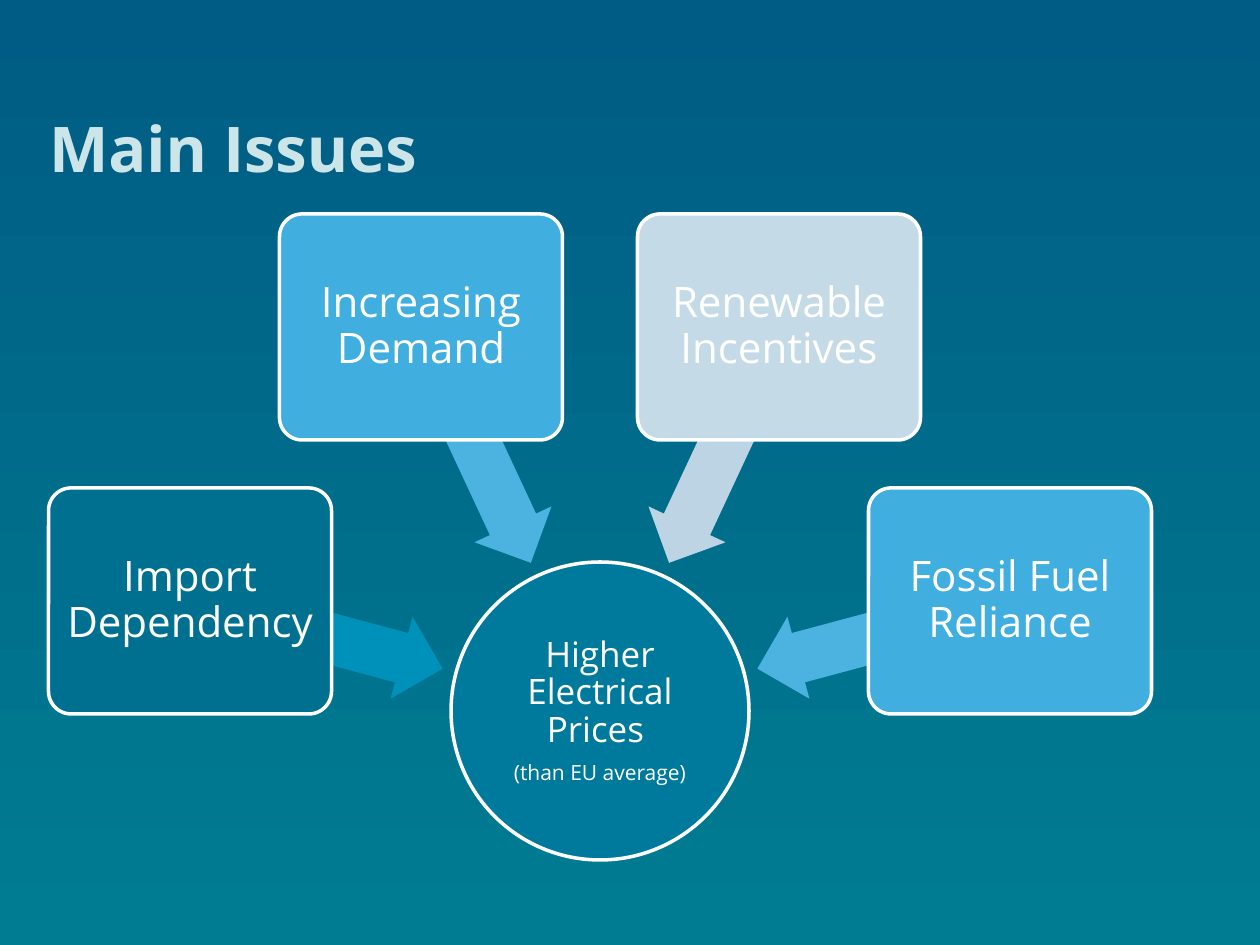
import math

import pptx
import pptx.dml.color
import pptx.enum.shapes
import pptx.enum.text
import pptx.util

RGB = pptx.dml.color.RGBColor
Kind = pptx.enum.shapes.MSO_SHAPE
Anchor = pptx.enum.text.MSO_ANCHOR
Align = pptx.enum.text.PP_ALIGN

WHITE = RGB(0xFF, 0xFF, 0xFF)
TITLE = RGB(0xCC, 0xE5, 0xE9)
TOP = RGB(0x00, 0x5C, 0x84)
BASE = RGB(0x00, 0x7C, 0x92)
HUB = RGB(0x00, 0x7A, 0x9C)
DEEP = RGB(0x00, 0x70, 0x90)
TEAL = RGB(0x00, 0x91, 0xBA)
SKY = RGB(0x40, 0xAE, 0xDE)
AZURE = RGB(0x4C, 0xB3, 0xE1)
PALE = RGB(0xC5, 0xDA, 0xE7)
MIST = RGB(0xBC, 0xD4, 0xE4)

FONT = "Open Sans"
HUB_X, HUB_Y, HUB_SIZE = 600, 711, 298
CARD_FAR, ARROW_FAR = 424, 293
FIRST, STEP = 15, 50

ISSUES = [
    ("Import Dependency", DEEP, TEAL),
    ("Increasing Demand", SKY, AZURE),
    ("Renewable Incentives", PALE, MIST),
    ("Fossil Fuel Reliance", SKY, AZURE),
]


def px(n):
    return pptx.util.Emu(round(n * 914400 / 126))


def orbit(angle, far):
    turn = math.radians(angle)
    return (round(HUB_X - far * math.cos(turn)),
            round(HUB_Y - far * math.sin(turn)))


class Page:
    def __init__(self, deck):
        self.slide = deck.slides.add_slide(deck.slide_layouts[5])

    def back(self, top, base):
        fill = self.slide.background.fill
        fill.gradient()
        fill.gradient_angle = 270
        for stop, color, place in zip(fill.gradient_stops, (top, base), (0, 1)):
            stop.color.rgb = color
            stop.position = place

    def pad(self, frame, size, anchor):
        frame.word_wrap = True
        frame.auto_size = pptx.enum.text.MSO_AUTO_SIZE.NONE
        frame.vertical_anchor = anchor
        frame.margin_left = frame.margin_right = px(size)
        frame.margin_top = frame.margin_bottom = px(size)

    def style(self, para, size, color, bold=False):
        for run in para.runs:
            run.font.name = FONT
            run.font.size = pptx.util.Pt(size)
            run.font.bold = bold
            run.font.color.rgb = color

    def title(self, text):
        box = self.slide.shapes.title
        box.left, box.top, box.width, box.height = map(px, (49, 0, 1162, 185))
        self.pad(box.text_frame, 0, Anchor.BOTTOM)
        box.text_frame.text = text
        para = box.text_frame.paragraphs[0]
        para.alignment = Align.LEFT
        self.style(para, 36, TITLE, True)

    def shape(self, kind, mid, size, color):
        (x, y), (w, h) = mid, size
        item = self.slide.shapes.add_shape(
            kind, px(x - w / 2), px(y - h / 2), px(w), px(h))
        item.shadow.inherit = False
        item.fill.solid()
        item.fill.fore_color.rgb = color
        item.line.fill.background()
        return item

    def label(self, item, lines, pad):
        item.line.color.rgb = WHITE
        item.line.width = pptx.util.Pt(2)
        frame = item.text_frame
        self.pad(frame, pad, Anchor.MIDDLE)
        frame.text = "\n".join(text for text, size in lines)
        for para, (text, size) in zip(frame.paragraphs, lines):
            para.alignment = Align.CENTER
            para.line_spacing = 0.9
            para.space_after = pptx.util.Pt(round(size * 0.35))
            self.style(para, size, WHITE)

    def hub(self, lines):
        item = self.shape(Kind.OVAL, (HUB_X, HUB_Y), (HUB_SIZE, HUB_SIZE), HUB)
        self.label(item, lines, 1)

    def arrow(self, angle, color):
        item = self.shape(
            Kind.LEFT_ARROW, orbit(angle, ARROW_FAR), (260, 85), color)
        item.adjustments[0] = 0.6
        item.adjustments[1] = 0.5
        item.rotation = angle + 180

    def card(self, angle, text, color):
        item = self.shape(
            Kind.ROUNDED_RECTANGLE, orbit(angle, CARD_FAR), (283, 226), color)
        item.adjustments[0] = 0.1
        self.label(item, [(text, 24)], 6)


def main():
    deck = pptx.Presentation()
    deck.slide_width, deck.slide_height = px(1260), px(945)
    page = Page(deck)
    page.back(TOP, BASE)
    page.title("Main Issues")
    page.hub([("Higher Electrical Prices ", 20), ("(than EU average)", 12)])
    for i, (text, fill, tint) in enumerate(ISSUES):
        angle = FIRST + i * STEP
        page.arrow(angle, tint)
        page.card(angle, text, fill)
    deck.save("out.pptx")


if __name__ == "__main__":
    main()
